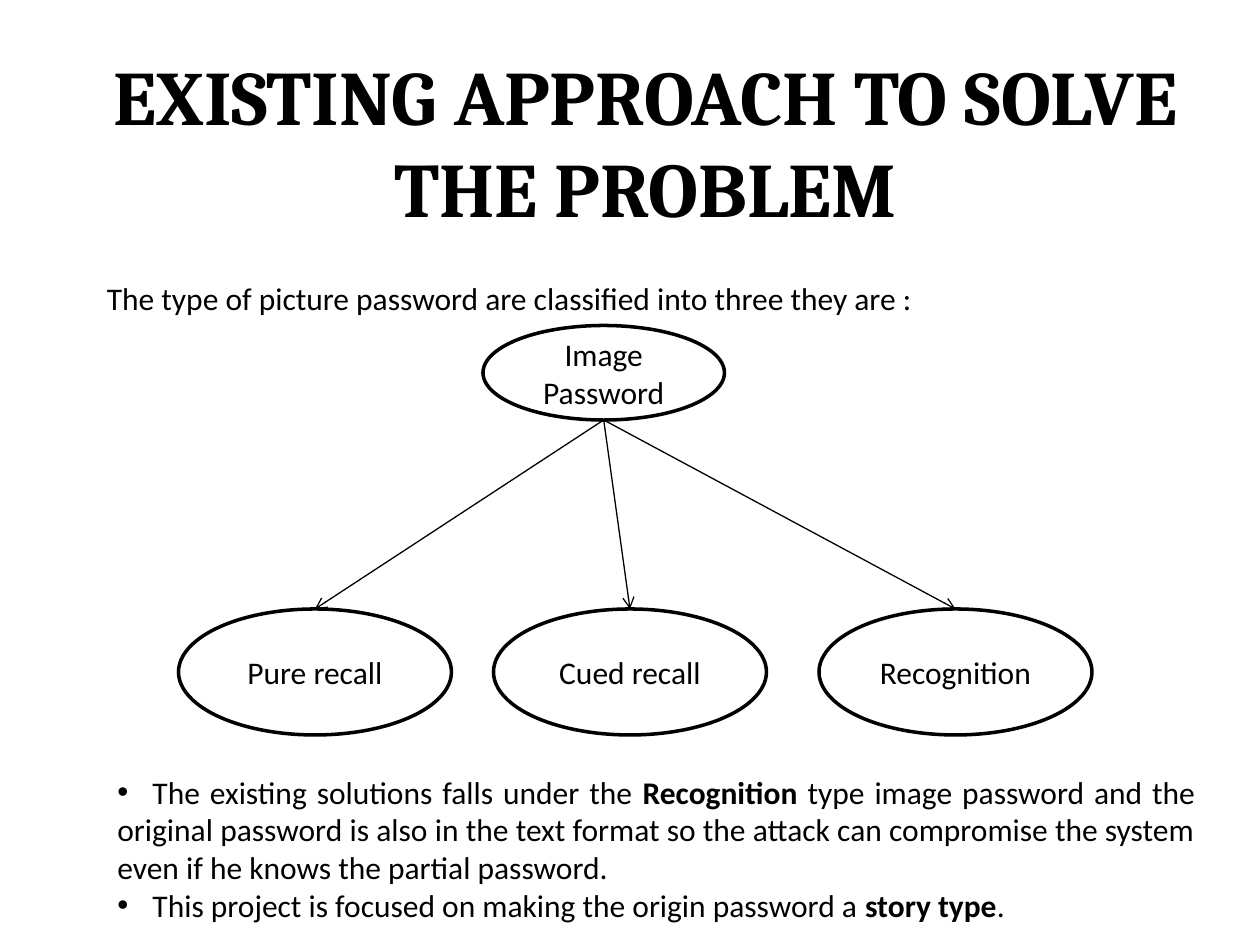
"""Build a slide that classifies picture passwords in a small tree diagram."""
from lxml import etree
from pptx import Presentation, util as u
from pptx.dml.color import RGBColor
from pptx.enum import shapes, text
from pptx.oxml.ns import qn

BLACK, WHITE = "000000", "FFFFFF"
ALIGN = text.PP_ALIGN
BODY = {"name": "Calibri", "size": u.Pt(18), "bold": False}
STRONG = {**BODY, "bold": True}
TITLE = {"name": "Cambria", "size": u.Pt(44), "bold": True}


def paint(color_format, value):
    """Set a colour from a hex string."""
    color_format.rgb = RGBColor.from_string(value)


def write(paragraph, alignment, runs):
    """Fill a paragraph with (wording, format values) runs."""
    paragraph.alignment = alignment
    for wording, values in runs:
        run = paragraph.add_run()
        run.text = wording
        paint(run.font.color, BLACK)
        for attribute, value in values.items():
            setattr(run.font, attribute, value)


presentation = Presentation()
presentation.slide_width, presentation.slide_height = u.Pt(720), u.Pt(540)
slide = presentation.slides.add_slide(presentation.slide_layouts[6])

text_boxes = [
    ((42, 24, 654, 114), ALIGN.CENTER, False,
     [[("EXISTING APPROACH TO SOLVE THE PROBLEM", TITLE)]]),
    ((54, 156, 612, 51), ALIGN.JUSTIFY, False,
     [[("The type of picture password are classified into three they are :", BODY)]]),
    ((60, 438, 630, 94.5), ALIGN.JUSTIFY, True,
     [[("\tThe existing solutions falls under the ", BODY),
       ("Recognition ", STRONG),
       ("type image password and the original password is also in the text format "
        "so the attack can compromise the system even if he knows the partial password.", BODY)],
      [("\tThis project is focused on making the origin password a ", BODY),
       ("story type", STRONG),
       (".", BODY)]]),
]
for box, alignment, bulleted, paragraphs in text_boxes:
    frame = slide.shapes.add_textbox(*map(u.Pt, box)).text_frame
    frame.word_wrap = True
    for index, runs in enumerate(paragraphs):
        paragraph = frame.add_paragraph() if index else frame.paragraphs[0]
        write(paragraph, alignment, runs)
        if bulleted:
            properties = paragraph._p.get_or_add_pPr()
            etree.SubElement(properties, qn("a:buFont"), typeface="Arial")
            etree.SubElement(properties, qn("a:buChar"), char="•")
            tabs = etree.SubElement(properties, qn("a:tabLst"))
            etree.SubElement(tabs, qn("a:tab"), pos=str(u.Pt(20)), algn="l")

nodes = [
    ("Image Password", (276, 186, 138, 54)),
    ("Pure recall", (102, 348, 156, 72)),
    ("Cued recall", (282, 348, 156, 72)),
    ("Recognition", (468, 348, 156, 72)),
]
ellipses = []
for wording, box in nodes:
    ellipse = slide.shapes.add_shape(shapes.MSO_SHAPE.OVAL, *map(u.Pt, box))
    ellipse.shadow.inherit = False
    ellipse.fill.solid()
    paint(ellipse.fill.fore_color, WHITE)
    paint(ellipse.line.color, BLACK)
    ellipse.line.width = u.Pt(2)
    ellipse.text_frame.word_wrap = True
    ellipse.text_frame.vertical_anchor = text.MSO_ANCHOR.MIDDLE
    write(ellipse.text_frame.paragraphs[0], ALIGN.CENTER, [(wording, BODY)])
    ellipses.append(ellipse)

root, *children = ellipses
for child in children:
    arrow = slide.shapes.add_connector(
        shapes.MSO_CONNECTOR.STRAIGHT,
        root.left + root.width // 2, root.top + root.height,
        child.left + child.width // 2, child.top)
    paint(arrow.line.color, BLACK)
    arrow.line.width = u.Pt(0.75)
    etree.SubElement(arrow.line._get_or_add_ln(), qn("a:tailEnd"), type="arrow")
    etree.SubElement(arrow._element.spPr, qn("a:effectLst"))

presentation.save("out.pptx")
